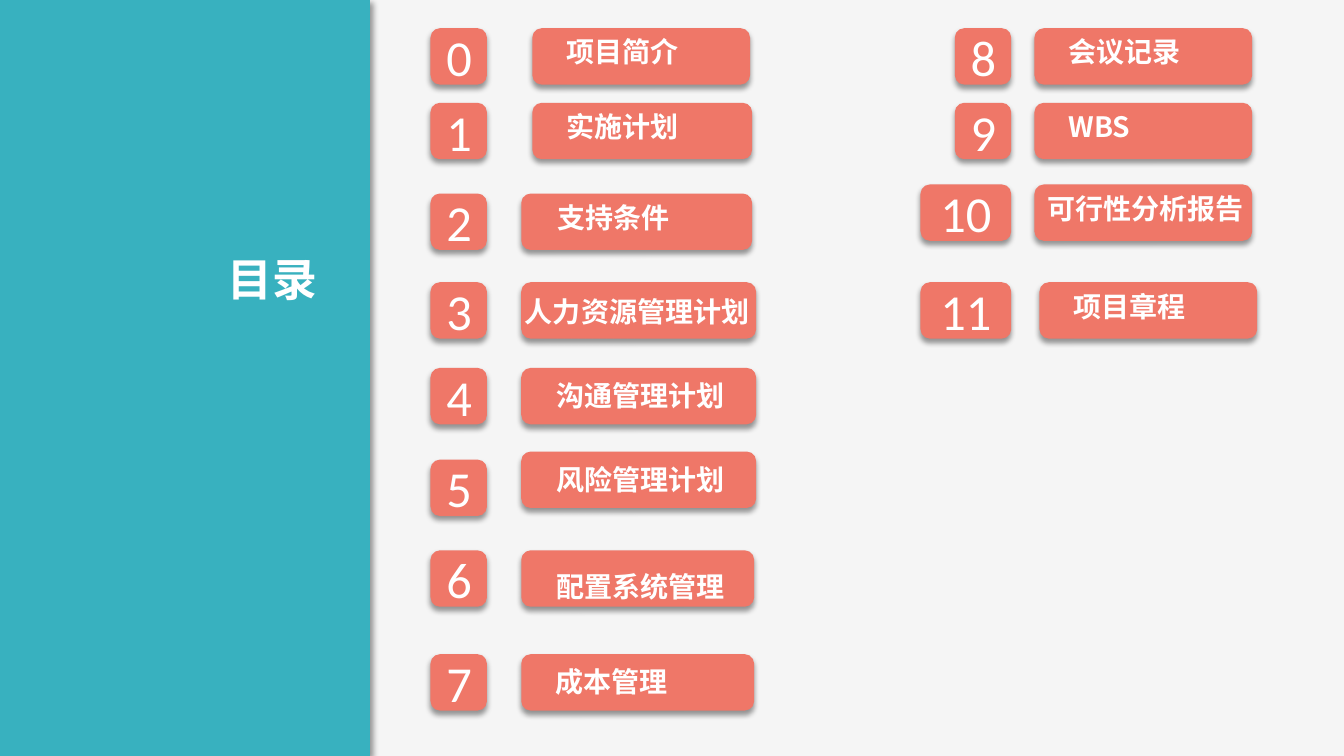
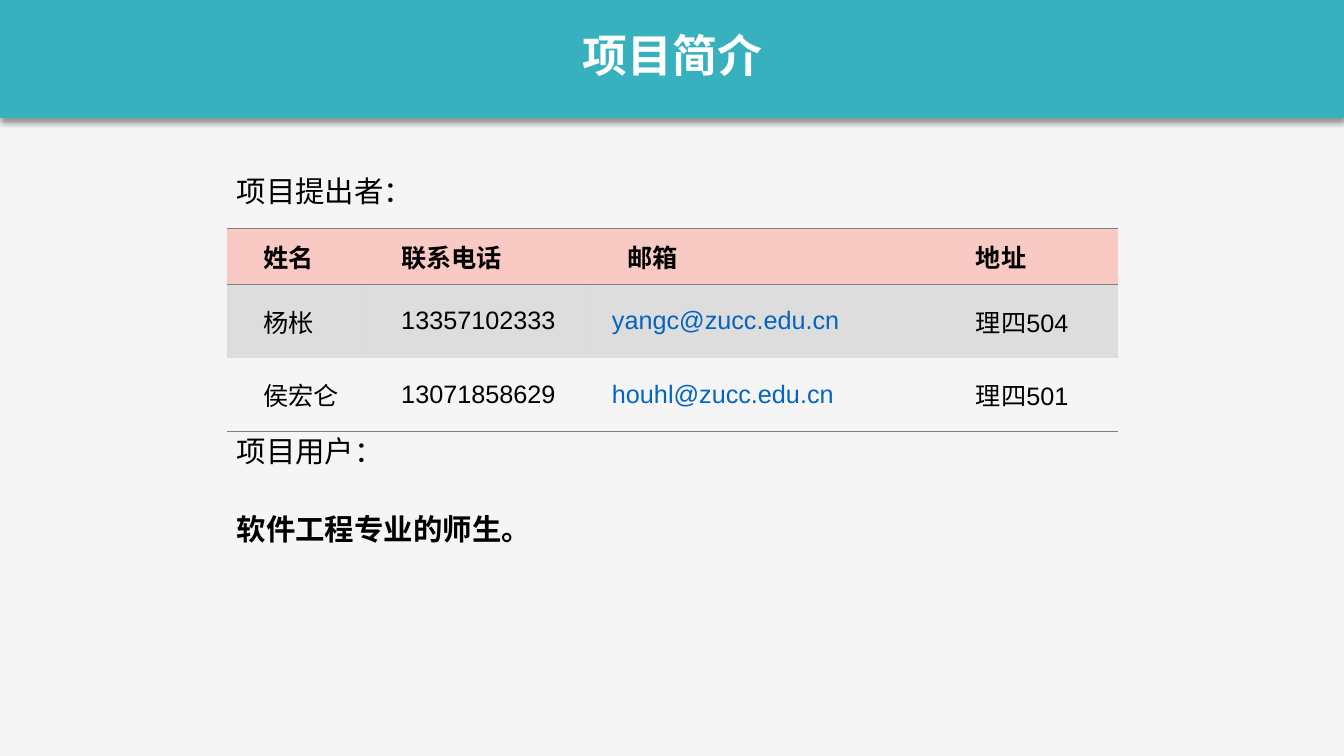
from lxml import etree
from pptx import Presentation
from pptx.dml.color import RGBColor
from pptx.enum import shapes, text
from pptx.oxml import ns
from pptx import util as u

PX = 9144  # 100 px to the inch
BACKGROUND = RGBColor(0xF5, 0xF5, 0xF5)
TEAL = RGBColor(0x38, 0xB1, 0xBF)
CORAL = RGBColor(0xEF, 0x77, 0x68)
PINK = RGBColor(0xF9, 0xC9, 0xC3)
GREY = RGBColor(0x7F, 0x7F, 0x7F)
LINK_BLUE = RGBColor(0x05, 0x63, 0xC1)
WHITE = RGBColor(0xFF, 0xFF, 0xFF)
BLACK = RGBColor(0, 0, 0)
CJK_FONT = "Noto Sans CJK SC"
NO_STYLE = "{2D5ABB26-0587-4C30-8999-92F81FD0307C}"
TITLE = dict(size=32, color=WHITE, bold=True)
BODY = dict(size=21, font="Calibri")


def write_text(frame, words, size, font=CJK_FONT, color=BLACK, bold=False,
               align=text.PP_ALIGN.LEFT, anchor=text.MSO_ANCHOR.TOP,
               insets=(10, 5, 10, 5), wrap=True, indent=0):
    frame.word_wrap = wrap
    frame.vertical_anchor = anchor
    (frame.margin_left, frame.margin_top,
     frame.margin_right, frame.margin_bottom) = [u.Emu(side * PX) for side in insets]
    paragraph = frame.paragraphs[0]
    paragraph.alignment = align
    if indent:
        properties = paragraph._p.get_or_add_pPr()
        properties.set("marL", "0")
        properties.set("indent", str(indent * PX))
    run = paragraph.add_run()
    run.text = words
    run.font.size = u.Pt(size)
    run.font.bold = bold
    run.font.name = font
    run.font.color.rgb = color
    etree.SubElement(run._r.get_or_add_rPr(), ns.qn("a:ea"), typeface=CJK_FONT)


def add_block(slide, kind, box, color, shadow_angle=90):
    shape = slide.shapes.add_shape(kind, *[side * PX for side in box])
    shape.fill.solid()
    shape.fill.fore_color.rgb = color
    shape.line.fill.background()
    shape.shadow.inherit = False
    effects = shape._element.spPr.find(ns.qn("a:effectLst"))
    shadow = etree.SubElement(effects, ns.qn("a:outerShdw"), blurRad=str(u.Pt(4)),
                              dist=str(u.Pt(3)), dir=str(shadow_angle * 60000),
                              algn="t", rotWithShape="0")
    shade = etree.SubElement(shadow, ns.qn("a:srgbClr"), val="000000")
    etree.SubElement(shade, ns.qn("a:alpha"), val="40000")
    return shape


presentation = Presentation()
presentation.slide_width = 1333 * PX
presentation.slide_height = 750 * PX
contents, introduction = [
    presentation.slides.add_slide(presentation.slide_layouts[6]) for _ in range(2)]
for slide in (contents, introduction):
    slide.background.fill.solid()
    slide.background.fill.fore_color.rgb = BACKGROUND

# Contents: side panel and title
add_block(contents, shapes.MSO_SHAPE.RECTANGLE, (0, 0, 367, 750), TEAL, 45)
title = contents.shapes.add_textbox(21 * PX, 243 * PX, 307 * PX, 67 * PX)
write_text(title.text_frame, "目录", **TITLE, align=text.PP_ALIGN.RIGHT,
           insets=(13, 7, 13, 7))

# Contents: label, number top, label left, top, width, text left and top inset
ENTRIES = [
    ("项目简介", 28, 528, 28, 216, 31, 4),
    ("实施计划", 102, 528, 102, 218, 31, 4),
    ("支持条件", 192, 517, 192, 229, 33, 4),
    ("人力资源管理计划", 280, 517, 280, 233, 1, 9),
    ("沟通管理计划", 365, 517, 365, 233, 32, 8),
    ("风险管理计划", 456, 517, 448, 233, 32, 8),
    ("配置系统管理", 546, 517, 546, 231, 32, 16),
    ("成本管理", 649, 517, 649, 231, 31, 8),
    ("会议记录", 28, 1026, 28, 216, 31, 4),
    ("WBS", 102, 1026, 102, 216, 31, 4),
    ("可行性分析报告", 183, 1026, 183, 216, 10, 4),
    ("项目章程", 280, 1031, 280, 216, 31, 4),
]
HEIGHT = 56
for number, (label, number_top, left, top, width, inset, drop) in enumerate(ENTRIES):
    number_width = 56 if number < 10 else 90
    number_right = 483 if number < 8 else 1003
    badge = add_block(contents, shapes.MSO_SHAPE.ROUNDED_RECTANGLE,
                      (number_right - number_width, number_top, number_width, HEIGHT), CORAL)
    write_text(badge.text_frame, str(number), size=36, font="Calibri", color=WHITE,
               align=text.PP_ALIGN.CENTER, anchor=text.MSO_ANCHOR.MIDDLE,
               insets=(13, 7, 13, 7))
    button = add_block(contents, shapes.MSO_SHAPE.ROUNDED_RECTANGLE,
                       (left, top, width, HEIGHT), CORAL)
    write_text(button.text_frame, label, size=20, color=WHITE, bold=True,
               insets=(inset, drop, 0, 0))

# Introduction: title band
add_block(introduction, shapes.MSO_SHAPE.RECTANGLE, (0, 0, 1333, 117), TEAL)
title = introduction.shapes.add_textbox(568 * PX, 23 * PX, 198 * PX, 64 * PX)
write_text(title.text_frame, "项目简介", **TITLE, align=text.PP_ALIGN.CENTER, wrap=False)

# Introduction: table of proposers
ROWS = [
    ("姓名", "联系电话", "邮箱", "地址"),
    ("杨枨", "13357102333", "yangc@zucc.edu.cn", "理四504"),
    ("侯宏仑", "13071858629", "houhl@zucc.edu.cn", "理四501"),
]
COLUMN_WIDTHS = (137, 224, 346, 177)
ROW_HEIGHTS = (55, 73, 73)
BORDERS = [("lnT", "lnB"), (), ("lnB",)]
frame = introduction.shapes.add_table(
    len(ROWS), len(COLUMN_WIDTHS), 225 * PX, 227 * PX,
    sum(COLUMN_WIDTHS) * PX, sum(ROW_HEIGHTS) * PX)
table = frame.table
table.horz_banding = False
table._tbl.tblPr.find(ns.qn("a:tableStyleId")).text = NO_STYLE
for column, width in zip(table.columns, COLUMN_WIDTHS):
    column.width = width * PX
for row_index, words_in_row in enumerate(ROWS):
    table.rows[row_index].height = ROW_HEIGHTS[row_index] * PX
    for column_index, words in enumerate(words_in_row):
        cell = table.cell(row_index, column_index)
        is_email = "@" in words
        write_text(cell.text_frame, words, size=18, font="Arial", bold=row_index == 0,
                   color=LINK_BLUE if is_email else BLACK, indent=14 if is_email else 29)
        cell.vertical_anchor = text.MSO_ANCHOR.MIDDLE
        cell.margin_left = cell.margin_right = 7 * PX
        cell.margin_top = cell.margin_bottom = 0
        properties = cell._tc.get_or_add_tcPr()
        for edge in BORDERS[row_index]:
            line = etree.SubElement(properties, ns.qn("a:" + edge), w=str(u.Pt(1)))
            paint = etree.SubElement(line, ns.qn("a:solidFill"))
            etree.SubElement(paint, ns.qn("a:srgbClr"), val=str(GREY))
        if row_index == 2:
            cell.fill.background()
            continue
        cell.fill.solid()
        cell.fill.fore_color.rgb = (PINK, GREY)[row_index]
        if row_index == 1:
            shade = properties.find(ns.qn("a:solidFill"))[0]
            etree.SubElement(shade, ns.qn("a:alpha"), val="20000")

# Introduction: lines around the table
for words, top, width, bold in [("项目提出者：", 167, 395, False),
                                ("项目用户：", 425, 164, False),
                                ("软件工程专业的师生。", 502, 735, True)]:
    box = introduction.shapes.add_textbox(225 * PX, top * PX, width * PX, 45 * PX)
    write_text(box.text_frame, words, **BODY, bold=bold)

presentation.save("out.pptx")
